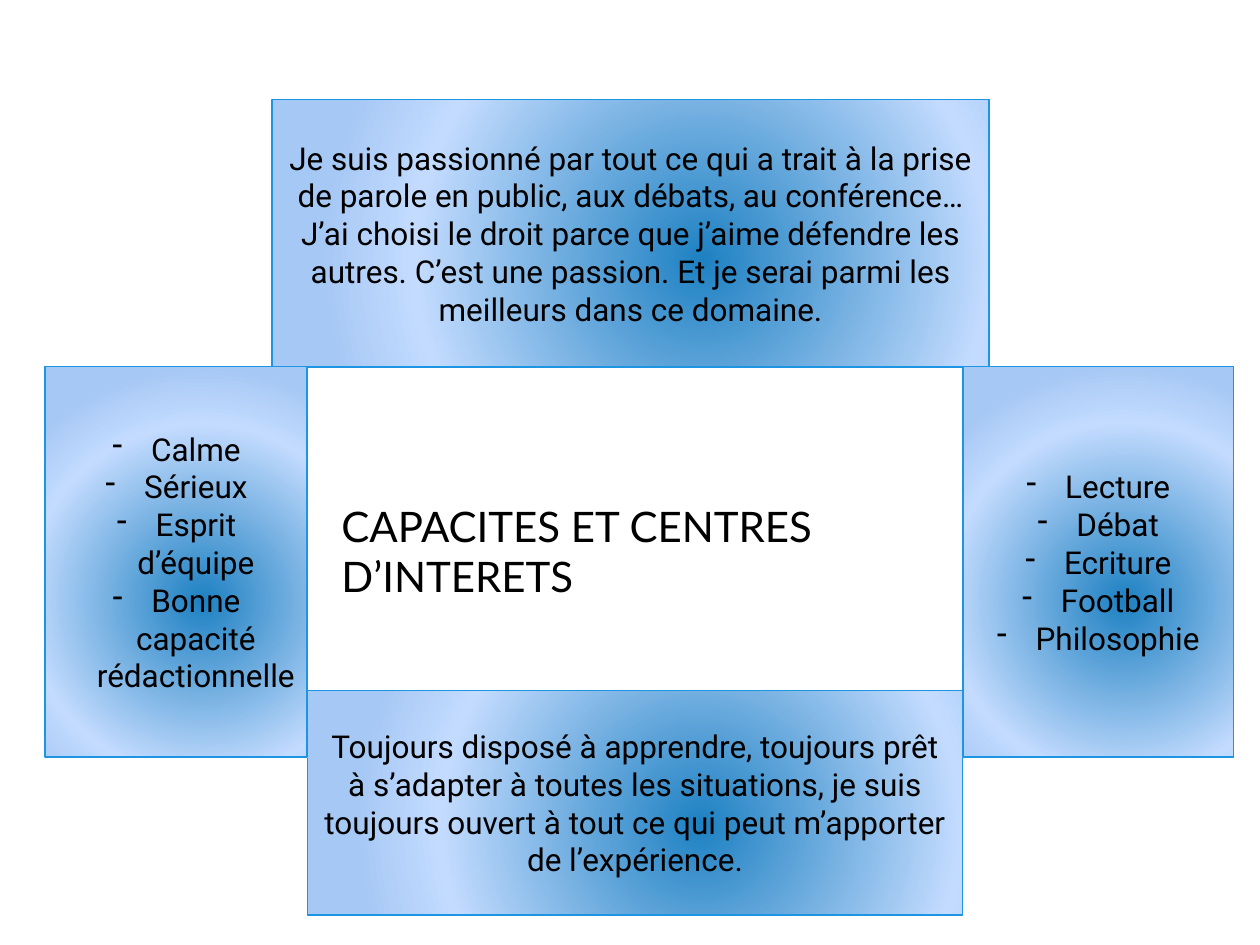
"""Build a slide of skills and interests around a central title."""
from lxml import etree
from pptx import Presentation
from pptx.dml.color import RGBColor
from pptx.enum.shapes import MSO_SHAPE
from pptx.enum.text import MSO_ANCHOR, MSO_AUTO_SIZE, PP_ALIGN
from pptx.oxml import parse_xml
from pptx.oxml.ns import qn
from pptx.util import Inches, Pt

RECT = MSO_SHAPE.RECTANGLE
TOP, MIDDLE = MSO_ANCHOR.TOP, MSO_ANCHOR.MIDDLE
GROW, FIXED = MSO_AUTO_SIZE.SHAPE_TO_FIT_TEXT, MSO_AUTO_SIZE.NONE
LEFT, CENTER = PP_ALIGN.LEFT, PP_ALIGN.CENTER
TITLE_ONLY = 5
NS = "http://schemas.openxmlformats.org/drawingml/2006/main"
COLORS = {"text": "000000", "line": "1E95E2", "core": "1E81C2",
          "glow": "C3DBFE", "rim": "A6C8F5"}
STOPS = ((0, "core"), (75, "glow"), (100, "rim"))


def write(frame, lines, font="Roboto", size=18, align=CENTER,
          anchor=MIDDLE, fit=FIXED, bullet=None):
    frame.word_wrap = True
    frame.auto_size = fit
    frame.vertical_anchor = anchor
    for i, line in enumerate(lines):
        para = frame.add_paragraph() if i else frame.paragraphs[0]
        para.alignment = align
        run = para.add_run()
        run.text = line
        run.font.name = font
        run.font.size = Pt(size)
        run.font.color.rgb = RGBColor.from_string(COLORS["text"])
        if bullet:
            props = para._p.get_or_add_pPr()
            props.set("marL", str(Inches(0.31)))
            props.set("indent", str(-Inches(0.31)))
            etree.SubElement(props, qn("a:buChar")).set("char", bullet)


class Board:
    """Hold the style and the current slide."""

    def __init__(self, slide):
        self.slide = slide
        stops = "".join(
            f'<a:gs pos="{pos * 1000}"><a:srgbClr val="{COLORS[name]}"/></a:gs>'
            for pos, name in STOPS)
        self.glow = (
            f'<a:gradFill xmlns:a="{NS}" rotWithShape="1"><a:gsLst>{stops}</a:gsLst>'
            '<a:path path="circle"><a:fillToRect l="25000" t="25000" '
            'r="5000" b="5000"/></a:path></a:gradFill>')

    def title(self, text, *box):
        shape = self.slide.shapes.title
        shape.left, shape.top, shape.width, shape.height = map(Inches, box)
        write(shape.text_frame, [text], font="Lato", size=24,
              align=LEFT, anchor=TOP, fit=GROW)

    def panel(self, lines, *box, bullet=None):
        shape = self.slide.shapes.add_shape(RECT, *map(Inches, box))
        shape.shadow.inherit = False
        shape.fill.gradient()
        props = shape._element.spPr
        props.replace(props.find(qn("a:gradFill")), parse_xml(self.glow))
        shape.line.color.rgb = RGBColor.from_string(COLORS["line"])
        shape.line.width = Pt(1)
        write(shape.text_frame, lines, bullet=bullet)


def main():
    deck = Presentation()
    deck.slide_width, deck.slide_height = Inches(10), Inches(7.5)
    board = Board(deck.slides.add_slide(deck.slide_layouts[TITLE_ONLY]))

    left, right, top, tall = 2.44, 7.64, 2.91, 3.1
    board.panel(["Je suis passionné par tout ce qui a trait à la prise de parole "
                 "en public, aux débats, au conférence… J’ai choisi le droit parce "
                 "que j’aime défendre les autres. C’est une passion. Et je serai "
                 "parmi les meilleurs dans ce domaine."],
                2.16, 0.79, 5.69, top - 0.79)
    board.panel(["Toujours disposé à apprendre, toujours prêt à s’adapter à toutes "
                 "les situations, je suis toujours ouvert à tout ce qui peut "
                 "m’apporter de l’expérience."],
                left, 5.48, right - left, 1.78)
    board.panel(["Calme", "Sérieux", "Esprit d’équipe",
                 "Bonne capacité rédactionnelle"],
                0.36, top, left - 0.36, tall, bullet="-")
    board.panel(["Lecture", "Débat", "Ecriture", "Football", "Philosophie"],
                right, top, 2.15, tall, bullet="-")
    board.title("CAPACITES ET CENTRES D’INTERETS", 2.61, 3.92, 5.69, 0.91)

    deck.save("out.pptx")


if __name__ == "__main__":
    main()
